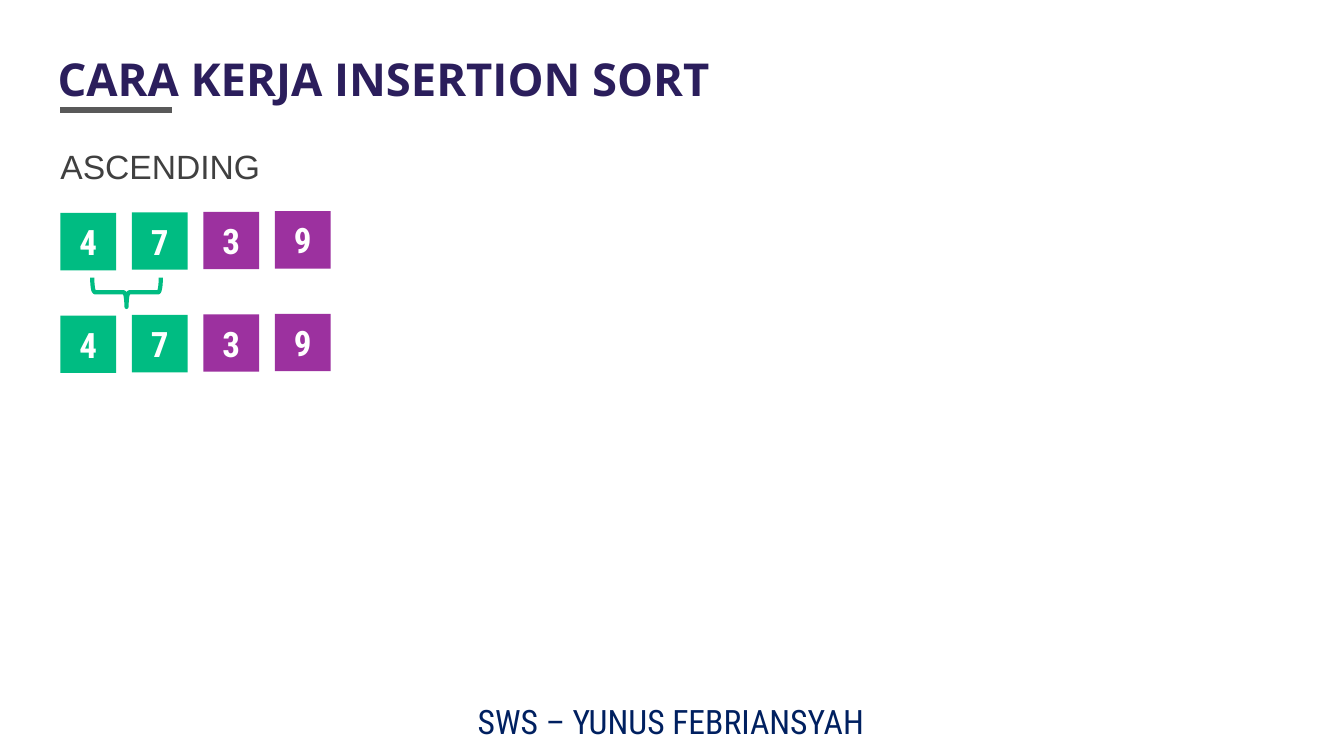
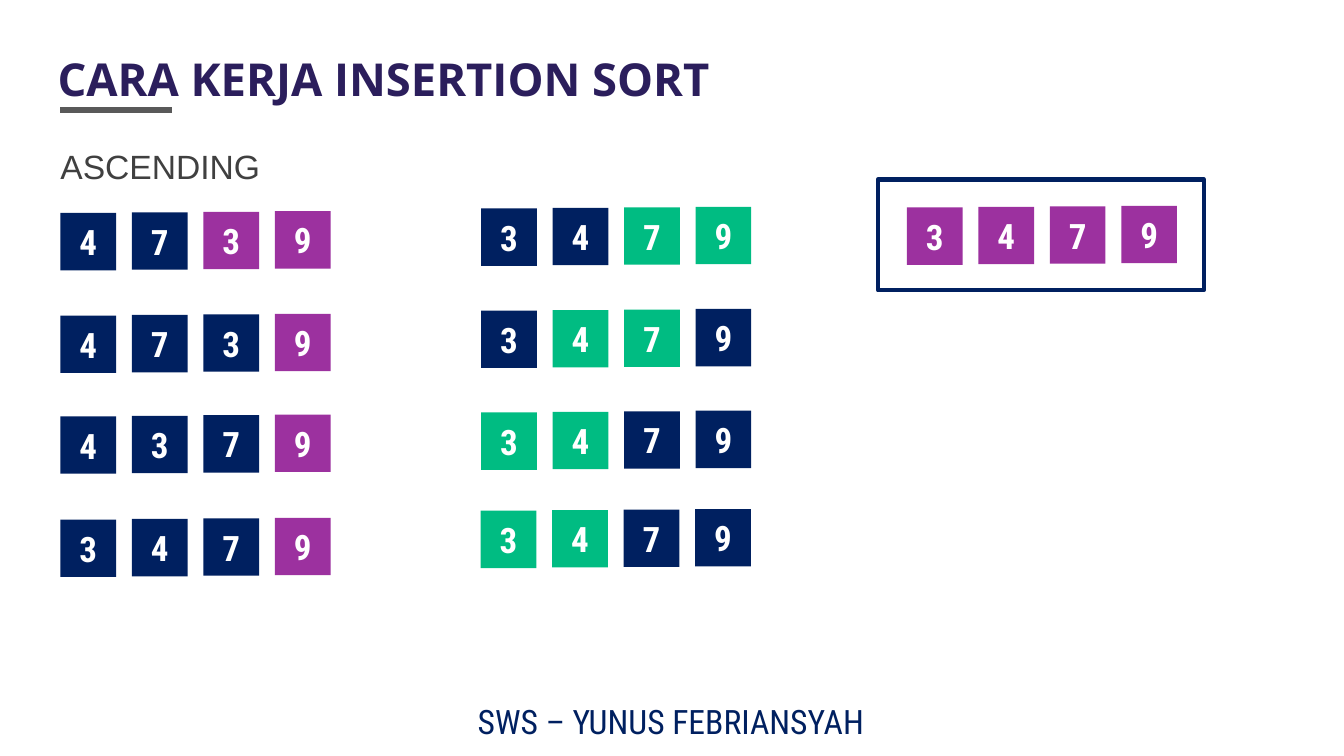
"""Build two slides that show the steps of an insertion sort."""
from dataclasses import dataclass

import lxml.etree
import pptx
import pptx.dml.color
import pptx.enum.shapes
import pptx.enum.text
import pptx.oxml.ns
import pptx.shapes.autoshape
import pptx.slide
import pptx.text.text
import pptx.util

Pt = pptx.util.Pt
RGBColor = pptx.dml.color.RGBColor
Kind = pptx.enum.shapes.MSO_SHAPE
Fit = pptx.enum.text.MSO_AUTO_SIZE
Align = pptx.enum.text.PP_ALIGN
Anchor = pptx.enum.text.MSO_ANCHOR

NAVY = RGBColor(0x00, 0x20, 0x60)
GREEN = RGBColor(0x00, 0xBC, 0x82)
PURPLE = RGBColor(0x9C, 0x31, 0x9F)
INDIGO = RGBColor(0x2B, 0x1E, 0x5C)
GREY = RGBColor(0x59, 0x59, 0x59)
DARK = RGBColor(0x40, 0x40, 0x40)
WHITE = RGBColor(0xFF, 0xFF, 0xFF)
FILLS = {"N": NAVY, "G": GREEN, "P": PURPLE}

HEAD = "Open Sans"
BODY = "Arial"
NARROW = "Roboto Condensed"

LEFT = 43.2
TILE_W, TILE_H = 39.8, 41
PITCH = 51.05
RISE = 0.4  # each tile sits a little above its left neighbour


@dataclass(frozen=True)
class Row:
    """A row of tiles: left, top, digits and one fill key per digit."""
    left: float
    top: float
    digits: str
    fills: str


FIRST = [
    Row(LEFT, 152.1, "4739", "GGPP"),
    Row(LEFT, 225.4, "4739", "GGPP"),
]
SECOND = [
    Row(LEFT, 152.1, "4739", "NNPP"),
    Row(LEFT, 225.4, "4739", "NNNP"),
    Row(LEFT, 297.4, "4379", "NNNP"),
    Row(LEFT, 371.1, "3479", "NNNP"),
    Row(343.7, 148.9, "3479", "NNGG"),
    Row(343.7, 221.9, "3479", "NGGN"),
    Row(343.7, 294.6, "3479", "GGNN"),
    Row(343.4, 364.8, "3479", "GGNN"),
    Row(647.8, 148.2, "3479", "PPPP"),
]


def write(frame: pptx.text.text.TextFrame, text: str, font: str, size: float,
          color: RGBColor, bold: bool = False,
          align: Align = Align.LEFT) -> None:
    """Put one formatted run into a text frame."""
    line = frame.paragraphs[0]
    line.alignment = align
    run = line.add_run()
    run.text = text
    run.font.name = font
    run.font.size = Pt(size)
    run.font.bold = bold
    run.font.color.rgb = color


def inset(frame: pptx.text.text.TextFrame, side: float, end: float) -> None:
    """Set the side margins and the top and bottom margins of a frame."""
    frame.margin_left = frame.margin_right = Pt(side)
    frame.margin_top = frame.margin_bottom = Pt(end)


def label(slide: pptx.slide.Slide, left: float, top: float, width: float,
          height: float) -> pptx.shapes.autoshape.Shape:
    """Add a wrapped text box that grows with its text."""
    box = slide.shapes.add_textbox(Pt(left), Pt(top), Pt(width), Pt(height))
    box.text_frame.word_wrap = True
    box.text_frame.auto_size = Fit.SHAPE_TO_FIT_TEXT
    return box


def outline(slide: pptx.slide.Slide, kind: Kind, left: float, top: float,
            width: float, height: float,
            color: RGBColor) -> pptx.shapes.autoshape.Shape:
    """Add an unfilled shape with a coloured line."""
    shape = slide.shapes.add_shape(kind, Pt(left), Pt(top), Pt(width),
                                   Pt(height))
    shape.shadow.inherit = False
    shape.fill.background()
    shape.line.color.rgb = color
    shape.line.width = Pt(3)
    return shape


def draw_row(slide: pptx.slide.Slide, row: Row) -> None:
    """Draw the tiles of one row at equal steps."""
    for step, (digit, key) in enumerate(zip(row.digits, row.fills)):
        tile = slide.shapes.add_shape(
            Kind.RECTANGLE, Pt(row.left + step * PITCH),
            Pt(row.top - step * RISE), Pt(TILE_W), Pt(TILE_H))
        tile.shadow.inherit = False
        tile.fill.solid()
        tile.fill.fore_color.rgb = FILLS[key]
        tile.line.fill.background()
        tile.text_frame.vertical_anchor = Anchor.MIDDLE
        write(tile.text_frame, digit, NARROW, 25, WHITE, True, Align.CENTER)


def draw_rule(slide: pptx.slide.Slide) -> None:
    """Draw the short rule under the title."""
    rule = slide.shapes.add_connector(
        pptx.enum.shapes.MSO_CONNECTOR.STRAIGHT,
        Pt(LEFT), Pt(78.5), Pt(122.6), Pt(78.5))
    rule.line.color.rgb = GREY
    rule.line.width = Pt(4.5)
    lxml.etree.SubElement(rule.element.spPr,
                          pptx.oxml.ns.qn("a:effectLst"))


def add_page(deck: pptx.presentation.Presentation,
             layout: pptx.slide.SlideLayout,
             rows: list[Row]) -> pptx.slide.Slide:
    """Add a slide with title, rule, heading and rows of tiles."""
    slide = deck.slides.add_slide(layout)
    title = slide.shapes.title
    title.left, title.top = Pt(31.7), Pt(31.7)
    title.width, title.height = Pt(815.8), Pt(48.2)
    frame = title.text_frame
    frame.word_wrap = True
    frame.auto_size = Fit.NONE
    frame.vertical_anchor = Anchor.MIDDLE
    inset(frame, 9.4, 5)
    write(frame, "CARA KERJA INSERTION SORT", HEAD, 32.4, INDIGO, True)
    draw_rule(slide)
    order = label(slide, LEFT, 95, 592.6, 41).text_frame
    inset(order, 0, 3.6)
    order.paragraphs[0].line_spacing = 1.2
    write(order, "ASCENDING", BODY, 24, DARK)
    for row in rows:
        draw_row(slide, row)
    return slide


def main() -> None:
    """Build and save the deck."""
    deck = pptx.Presentation()
    deck.slide_width, deck.slide_height = Pt(960), Pt(540)
    layout = deck.slide_layouts.get_by_name("Title Only")

    start = add_page(deck, layout, FIRST)
    brace = outline(start, Kind.RIGHT_BRACE, 79.9, 184.3, 20.9, 49, GREEN)
    brace.rotation = 90

    # The footer is shared, so it lives on the layout.
    foot = label(start, 326.2, 496.8, 306, 36)
    write(foot.text_frame, "SWS – YUNUS FEBRIANSYAH", NARROW, 24, NAVY,
          align=Align.CENTER)
    layout.shapes.element.append(foot.element)

    steps = add_page(deck, layout, SECOND)
    outline(steps, Kind.RECTANGLE, 627.1, 128.2, 232.8, 79.2, NAVY)
    deck.save("out.pptx")


main()
